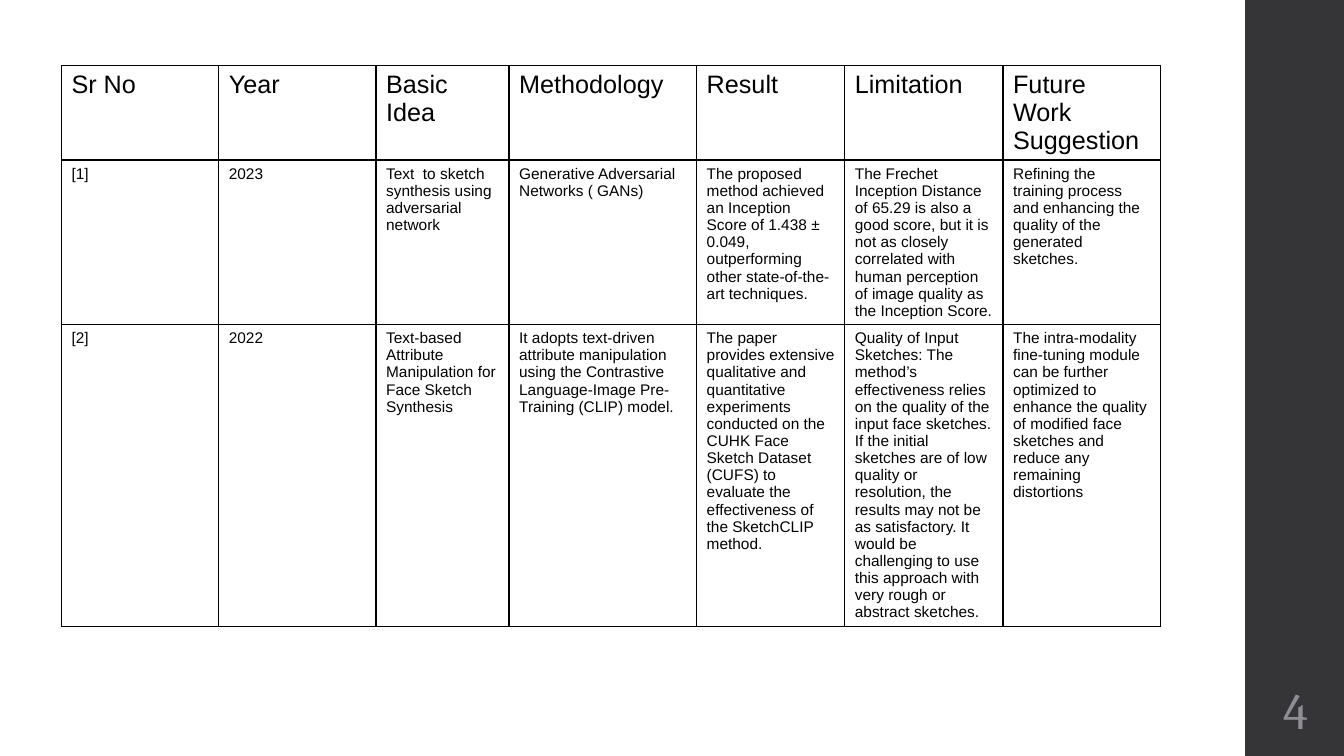
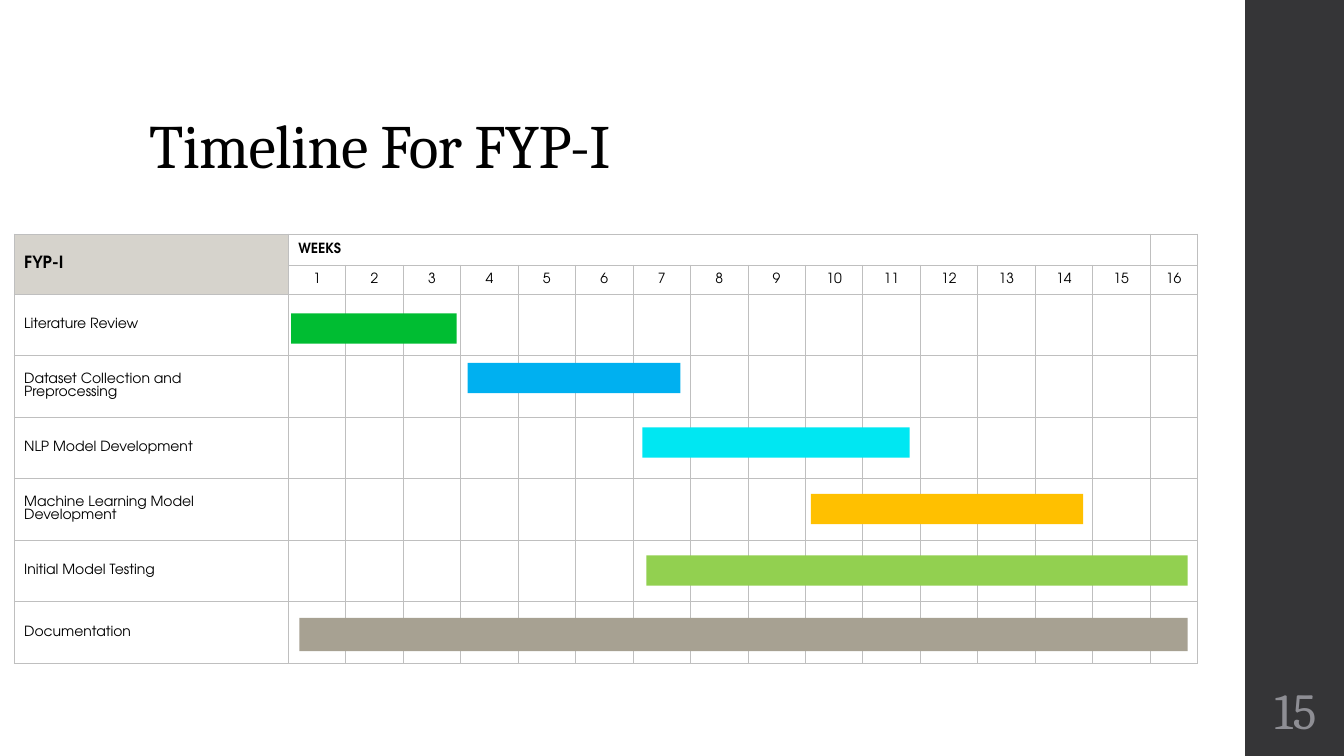
from lxml import etree
from pptx import Presentation
from pptx.dml.color import RGBColor
from pptx.enum.shapes import MSO_SHAPE
from pptx.enum.text import MSO_ANCHOR, MSO_AUTO_SIZE, PP_ALIGN
from pptx.oxml.ns import qn
from pptx.util import Inches, Pt

RECT = MSO_SHAPE.RECTANGLE
TOP, MIDDLE, BOTTOM = MSO_ANCHOR.TOP, MSO_ANCHOR.MIDDLE, MSO_ANCHOR.BOTTOM
LEFT, CENTER = PP_ALIGN.LEFT, PP_ALIGN.CENTER
NO_FIT = MSO_AUTO_SIZE.NONE

WHITE = RGBColor(0xFF, 0xFF, 0xFF)
BLACK = RGBColor(0, 0, 0)
DARK = RGBColor(0x35, 0x35, 0x37)
GRAY = RGBColor(0x8E, 0x8E, 0x94)
RULE = RGBColor(0xBF, 0xBF, 0xBF)
SAND = RGBColor(0xD6, 0xD3, 0xCC)
GREEN = RGBColor(0x00, 0xBD, 0x32)
BLUE = RGBColor(0x00, 0xB0, 0xF0)
CYAN = RGBColor(0x00, 0xE7, 0xF2)
GOLD = RGBColor(0xFF, 0xC0, 0x00)
LIME = RGBColor(0x92, 0xD0, 0x50)
TAUPE = RGBColor(0xA7, 0xA1, 0x92)

SERIF, SANS, ROUND = "Cambria", "Arial", "TeX Gyre Adventor"

WIDE, HIGH = 13.33, 7.5
BAND_X, BAND_W = 12.35, 1
TITLE_ONLY, BLANK = 5, 6

PAPER_COLS = [1.56, 1.56, 1.32, 1.86, 1.47, 1.57, 1.56]
PAPER_ROWS = [0.94, 1.63, 2.82]
PAPERS = [
    ["Sr No", "Year", "Basic Idea", "Methodology", "Result", "Limitation",
     "Future Work Suggestion"],
    ["[1]", "2023",
     "Text  to sketch synthesis using adversarial network",
     "Generative Adversarial Networks ( GANs)",
     "The proposed method achieved an Inception Score of 1.438 ± 0.049, "
     "outperforming other state-of-the-art techniques.",
     "The Frechet Inception Distance of 65.29 is also a good score, but it is "
     "not as closely correlated with human perception of image quality as "
     "the Inception Score.",
     "Refining the training process and enhancing the quality of the "
     "generated sketches."],
    ["[2]", "2022",
     "Text-based Attribute Manipulation for Face Sketch Synthesis",
     "It adopts text-driven attribute manipulation using the Contrastive "
     "Language-Image Pre-Training (CLIP) model.",
     "The paper provides extensive qualitative and quantitative experiments "
     "conducted on the CUHK Face Sketch Dataset (CUFS) to evaluate the "
     "effectiveness of the SketchCLIP method.",
     "Quality of Input Sketches: The method’s effectiveness relies on the "
     "quality of the input face sketches. If the initial sketches are of low "
     "quality or resolution, the results may not be as satisfactory. It would "
     "be challenging to use this approach with very rough or abstract "
     "sketches.",
     "The intra-modality fine-tuning module can be further optimized to "
     "enhance the quality of modified face sketches and reduce any remaining "
     "distortions"],
]

WEEKS = 16
PLAN_X, PLAN_Y = 0.14, 2.32
TASK_W, WEEK_W, LAST_W = 2.72, 0.57, 0.47
HEAD_ROWS, TASK_H = [0.31, 0.29], 0.61
# Task, first week offset, weeks taken, drop inside the row, bar height, colour
TASKS = [
    ("Literature Review", 0.05, 2.88, 0.19, 0.3, GREEN),
    ("Dataset Collection and Preprocessing", 3.12, 3.7, 0.07, 0.3, BLUE),
    ("NLP Model Development", 6.16, 4.65, 0.1, 0.3, CYAN),
    ("Machine Learning Model Development", 9.09, 4.74, 0.15, 0.3, GOLD),
    ("Initial Model Testing", 6.23, 9.42, 0.15, 0.3, LIME),
    ("Documentation", 0.19, 15.46, 0.16, 0.33, TAUPE),
]


def box(x, y, w, h):
    return [Inches(v) for v in (x, y, w, h)]


def write(frame, text, font, size, color=BLACK, bold=False, align=LEFT):
    para = frame.paragraphs[0]
    para.alignment = align
    run = para.add_run()
    run.text = text
    run.font.name = font
    run.font.size = Pt(size)
    run.font.bold = bold
    run.font.color.rgb = color
    return para, run


def add_bar(slide, x, y, w, h, color):
    bar = slide.shapes.add_shape(RECT, *box(x, y, w, h))
    bar.shadow.inherit = False
    bar.fill.solid()
    bar.fill.fore_color.rgb = color
    bar.line.fill.background()
    return bar


def add_band(deck, slide):
    """Draw the side band and move it to the master, so all slides show it."""
    band = add_bar(slide, BAND_X, 0, BAND_W, HIGH, DARK)
    band.element.nvSpPr.cNvPr.set("id", "50")
    deck.slide_master.shapes.element.append(band.element)


def add_number(slide, text):
    frame = slide.shapes.add_textbox(*box(BAND_X, 6.75, BAND_W, 0.65)).text_frame
    frame.word_wrap = True
    frame.vertical_anchor = MIDDLE
    frame.margin_left = frame.margin_right = Inches(0.05)
    para, _ = write(frame, text, SERIF, 36, GRAY, align=CENTER)
    para.line_spacing = 0.9


def set_title(slide, text):
    title = slide.shapes.title
    title.left, title.top, title.width, title.height = box(1.38, 0.4, 10.6, 1.45)
    frame = title.text_frame
    frame.auto_size = NO_FIT
    frame.word_wrap = True
    frame.vertical_anchor = BOTTOM
    para, run = write(frame, text, SERIF, 44)
    para.line_spacing = 0.9
    run.font._element.set("spc", "-50")


def edge(cell, side, color, width):
    line = etree.SubElement(cell._tc.get_or_add_tcPr(), qn("a:ln" + side),
                            w=str(Pt(width)))
    fill = etree.SubElement(line, qn("a:solidFill"))
    etree.SubElement(fill, qn("a:srgbClr"), val=str(color))


def add_grid(slide, x, y, cols, rows, color, width, head=None):
    """Add a white ruled table; head is the line width under the first row."""
    frame = slide.shapes.add_table(len(rows), len(cols),
                                   *box(x, y, sum(cols), sum(rows)))
    table = frame.table
    table.first_row = table.horz_banding = False
    for col, size in zip(table.columns, cols):
        col.width = Inches(size)
    for r, size in enumerate(rows):
        table.rows[r].height = Inches(size)
        for cell in table.rows[r].cells:
            for side in "LRTB":
                rule = head if head and (r, side) in ((0, "B"), (1, "T")) else width
                edge(cell, side, color, rule)
            paint(cell, WHITE)
    return table


def paint(cell, color):
    cell.fill.solid()
    cell.fill.fore_color.rgb = color


def put(cell, text, font, size, anchor=TOP, **look):
    cell.vertical_anchor = anchor
    write(cell.text_frame, text, font, size, **look)


def shrink(table, size):
    """Give empty cells a small type size, so that they keep their rows low."""
    for cell in table.iter_cells():
        if not cell.text:
            para = cell.text_frame.paragraphs[0]._p
            etree.SubElement(para, qn("a:endParaRPr"), sz=str(size * 100))


def add_papers(slide):
    table = add_grid(slide, 0.61, 0.65, PAPER_COLS, PAPER_ROWS, BLACK, 1, 1.5)
    for r, texts in enumerate(PAPERS):
        for c, text in enumerate(texts):
            put(table.cell(r, c), text, SANS, 11 if r else 18)


def add_plan(slide):
    cols = [TASK_W] + [WEEK_W] * (WEEKS - 1) + [LAST_W]
    rows = HEAD_ROWS + [TASK_H] * len(TASKS)
    table = add_grid(slide, PLAN_X, PLAN_Y, cols, rows, RULE, 0.5)
    table.cell(0, 0).merge(table.cell(1, 0))
    table.cell(0, 1).merge(table.cell(0, WEEKS - 1))
    paint(table.cell(0, 0), SAND)
    put(table.cell(0, 0), "FYP-I", ROUND, 12, MIDDLE, bold=True)
    put(table.cell(0, 1), "WEEKS", ROUND, 10, MIDDLE, bold=True)
    for week in range(1, WEEKS + 1):
        cell = table.cell(1, week)
        cell.margin_left = cell.margin_right = 0
        cell.margin_top = cell.margin_bottom = 0
        put(cell, str(week), ROUND, 10, MIDDLE, align=CENTER)
    for r, task in enumerate(TASKS, len(HEAD_ROWS)):
        put(table.cell(r, 0), task[0], ROUND, 10, MIDDLE)
    shrink(table, 10)


def add_bars(slide):
    left, top = PLAN_X + TASK_W, PLAN_Y + sum(HEAD_ROWS)
    for i, (_, start, span, drop, high, color) in enumerate(TASKS):
        add_bar(slide, left + start * WEEK_W, top + i * TASK_H + drop,
                span * WEEK_W, high, color)


def main():
    deck = Presentation()
    deck.slide_width, deck.slide_height = Inches(WIDE), Inches(HIGH)

    study = deck.slides.add_slide(deck.slide_layouts[BLANK])
    add_band(deck, study)
    add_papers(study)
    add_number(study, "4")

    plan = deck.slides.add_slide(deck.slide_layouts[TITLE_ONLY])
    set_title(plan, "Timeline For FYP-I")
    add_plan(plan)
    add_bars(plan)
    add_number(plan, "15")

    deck.save("out.pptx")


if __name__ == "__main__":
    main()
